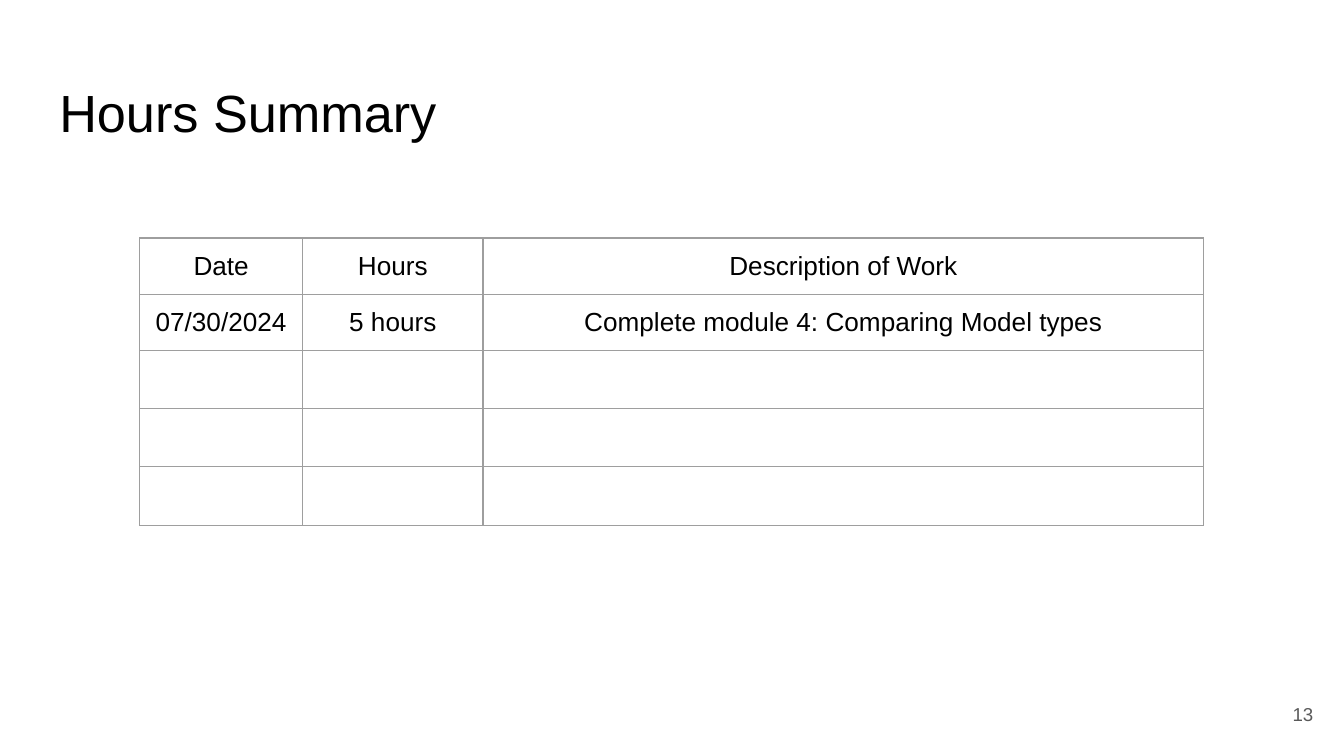
import pptx
import pptx.util
import pptx.dml.color
import pptx.enum.text
from lxml import etree
from pptx.util import Cm

COLORS = {"text": "000000", "border": "9E9E9E", "number": "595959", "back": "FFFFFF"}
A = "{http://schemas.openxmlformats.org/drawingml/2006/main}"
INSET = Cm(0.25)
ALIGN = pptx.enum.text.PP_ALIGN
ANCHOR = pptx.enum.text.MSO_ANCHOR


def add_run(p, text, size, color, align):
    p.alignment = align
    r = p.add_run()
    r.text = text
    r.font.name = "Arial"
    r.font.size = pptx.util.Pt(size)
    r.font.color.rgb = pptx.dml.color.RGBColor.from_string(COLORS[color])


def set_frame(tf, anchor):
    tf.word_wrap = True
    tf.auto_size = pptx.enum.text.MSO_AUTO_SIZE.NONE
    tf.vertical_anchor = anchor
    tf.margin_left = tf.margin_right = tf.margin_top = tf.margin_bottom = INSET


prs = pptx.Presentation()
prs.slide_width, prs.slide_height = Cm(25.4), Cm(14.29)
s = prs.slides.add_slide(prs.slide_layouts[5])
s.background.fill.solid()
s.background.fill.fore_color.rgb = pptx.dml.color.RGBColor.from_string(COLORS["back"])

# Title
sp = s.shapes.title
sp.left, sp.top, sp.width, sp.height = Cm(0.87), Cm(1.27), Cm(23.67), Cm(1.6)
set_frame(sp.text_frame, ANCHOR.TOP)
add_run(sp.text_frame.paragraphs[0], "Hours Summary", 28, "text", ALIGN.LEFT)

# Hours table
rows = [
    ["Date", "Hours", "Description of Work"],
    ["07/30/2024", "5 hours", "Complete module 4: Comparing Model types"],
    ["", "", ""],
    ["", "", ""],
    ["", "", ""],
]
widths = [3.08, 3.41, 13.62]
row_height = 1.06
table = s.shapes.add_table(len(rows), len(widths), Cm(2.64), Cm(4.5),
                           Cm(sum(widths)), Cm(row_height * len(rows))).table
table.first_row = table.horz_banding = False
for column, width in zip(table.columns, widths):
    column.width = Cm(width)

for i, row in enumerate(rows):
    table.rows[i].height = Cm(row_height)
    for j, text in enumerate(row):
        cell = table.cell(i, j)
        cell.margin_left = cell.margin_right = INSET
        cell.margin_top = cell.margin_bottom = INSET
        cell.fill.background()
        p = cell.text_frame.paragraphs[0]
        if text:
            add_run(p, text, 14, "text", ALIGN.CENTER)
        else:
            # Keep empty rows as low as the filled ones
            etree.SubElement(p._p, A + "endParaRPr", sz="1400")
        # Cell borders
        tcPr = cell._tc.get_or_add_tcPr()
        for k, side in enumerate(["lnL", "lnR", "lnT", "lnB"]):
            ln = etree.Element(A + side, w=str(pptx.util.Pt(0.75)))
            fill = etree.SubElement(ln, A + "solidFill")
            etree.SubElement(fill, A + "srgbClr", val=COLORS["border"])
            tcPr.insert(k, ln)

# Slide number
sp = s.shapes.add_textbox(Cm(23.55), Cm(12.95), Cm(1.52), Cm(1.09))
set_frame(sp.text_frame, ANCHOR.MIDDLE)
add_run(sp.text_frame.paragraphs[0], "13", 10, "number", ALIGN.RIGHT)

prs.save("out.pptx")
